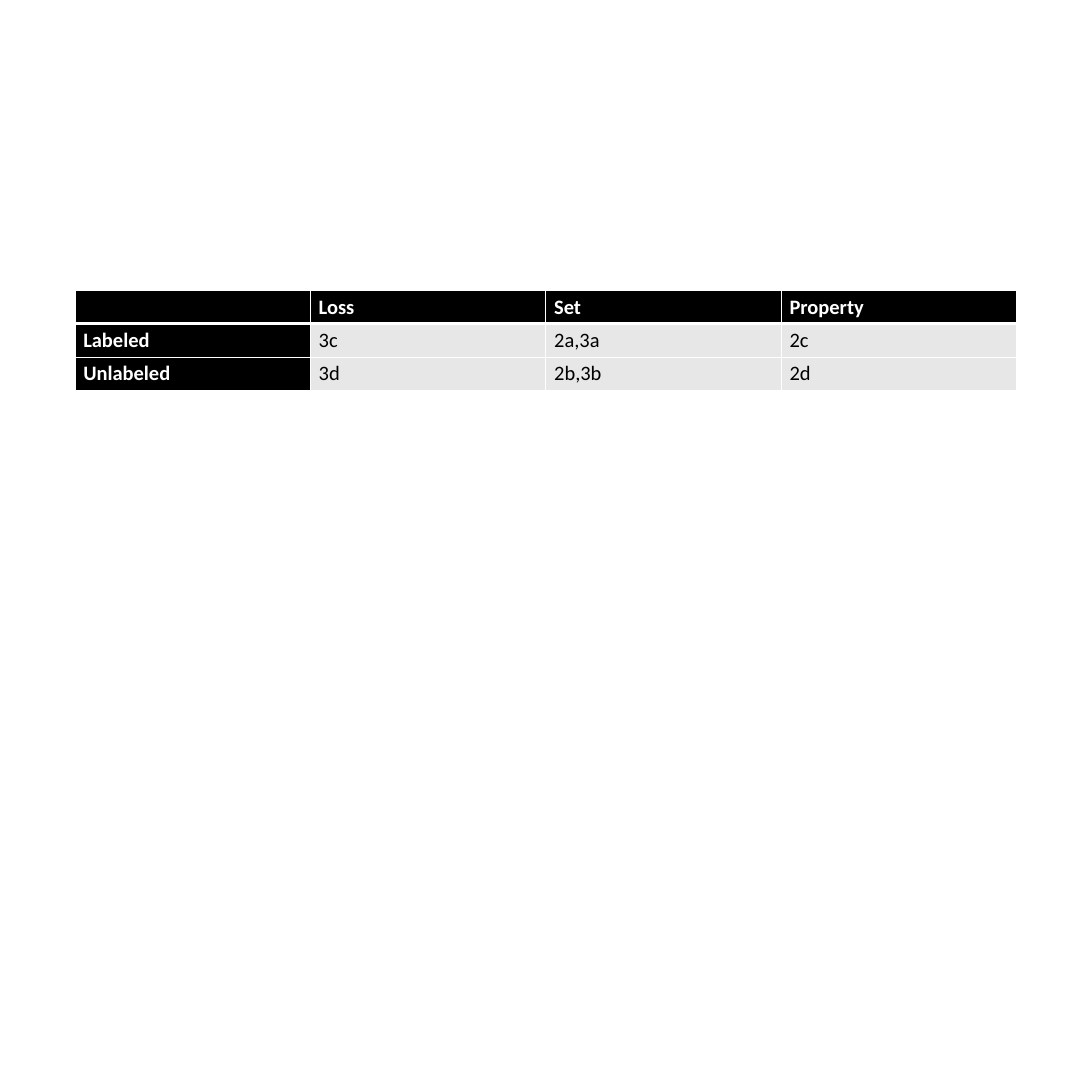
from lxml.etree import SubElement
from pptx import Presentation
from pptx.dml.color import RGBColor
from pptx.oxml.ns import qn
from pptx.util import Pt

COLORS = {"heading": "000000", "body": "E7E7E7", "light": "FFFFFF", "dark": "000000"}
ROWS = [
    ["", "Loss", "Set", "Property"],
    ["Labeled", "3c", "2a,3a", "2c"],
    ["Unlabeled", "3d", "2b,3b", "2d"],
]
COLUMN_WIDTH, ROW_HEIGHT = 206.99, 29.2


def add_border(cell, side, width):
    """Draw one solid edge of a cell."""
    properties = cell._tc.get_or_add_tcPr()
    line = SubElement(properties, qn(f"a:ln{side}"), w=str(Pt(width)))
    fill = SubElement(line, qn("a:solidFill"))
    SubElement(fill, qn("a:srgbClr"), val=COLORS["light"])


# Square slide with the blank layout
presentation = Presentation()
presentation.slide_width = presentation.slide_height = Pt(960)
slide = presentation.slides.add_slide(presentation.slide_layouts[6])

# Table grid
row_count, column_count = len(ROWS), len(ROWS[0])
table = slide.shapes.add_table(
    row_count, column_count, Pt(66), Pt(255.6),
    Pt(COLUMN_WIDTH * column_count), Pt(ROW_HEIGHT * row_count),
).table
for column in table.columns:
    column.width = Pt(COLUMN_WIDTH)
for row in table.rows:
    row.height = Pt(ROW_HEIGHT)

# Cells: the first row and first column are headings
for row_index, texts in enumerate(ROWS):
    for column_index, text in enumerate(texts):
        cell = table.cell(row_index, column_index)
        is_heading = row_index == 0 or column_index == 0

        # A thick rule separates the header row
        edges = {"L": 1, "R": 1, "T": 3 if row_index == 1 else 1,
                 "B": 3 if row_index == 0 else 1}
        for side, width in edges.items():
            add_border(cell, side, width)
        cell.fill.solid()
        cell.fill.fore_color.rgb = RGBColor.from_string(
            COLORS["heading" if is_heading else "body"])

        paragraph = cell.text_frame.paragraphs[0]
        paragraph.text = text
        for run in paragraph.runs:
            run.font.name = "Calibri"
            run.font.size = Pt(18)
            run.font.bold = is_heading
            run.font.color.rgb = RGBColor.from_string(
                COLORS["light" if is_heading else "dark"])

presentation.save("out.pptx")
